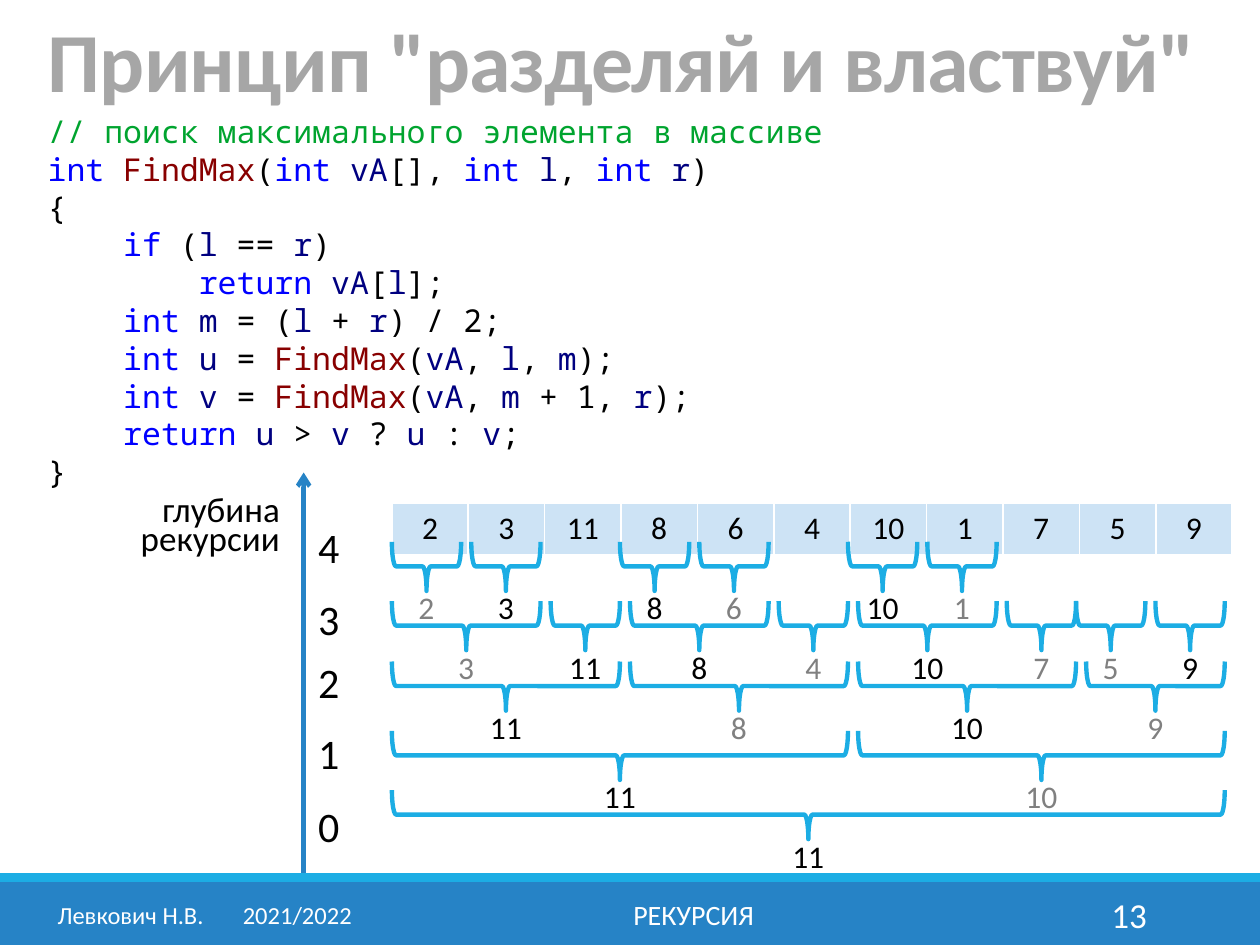
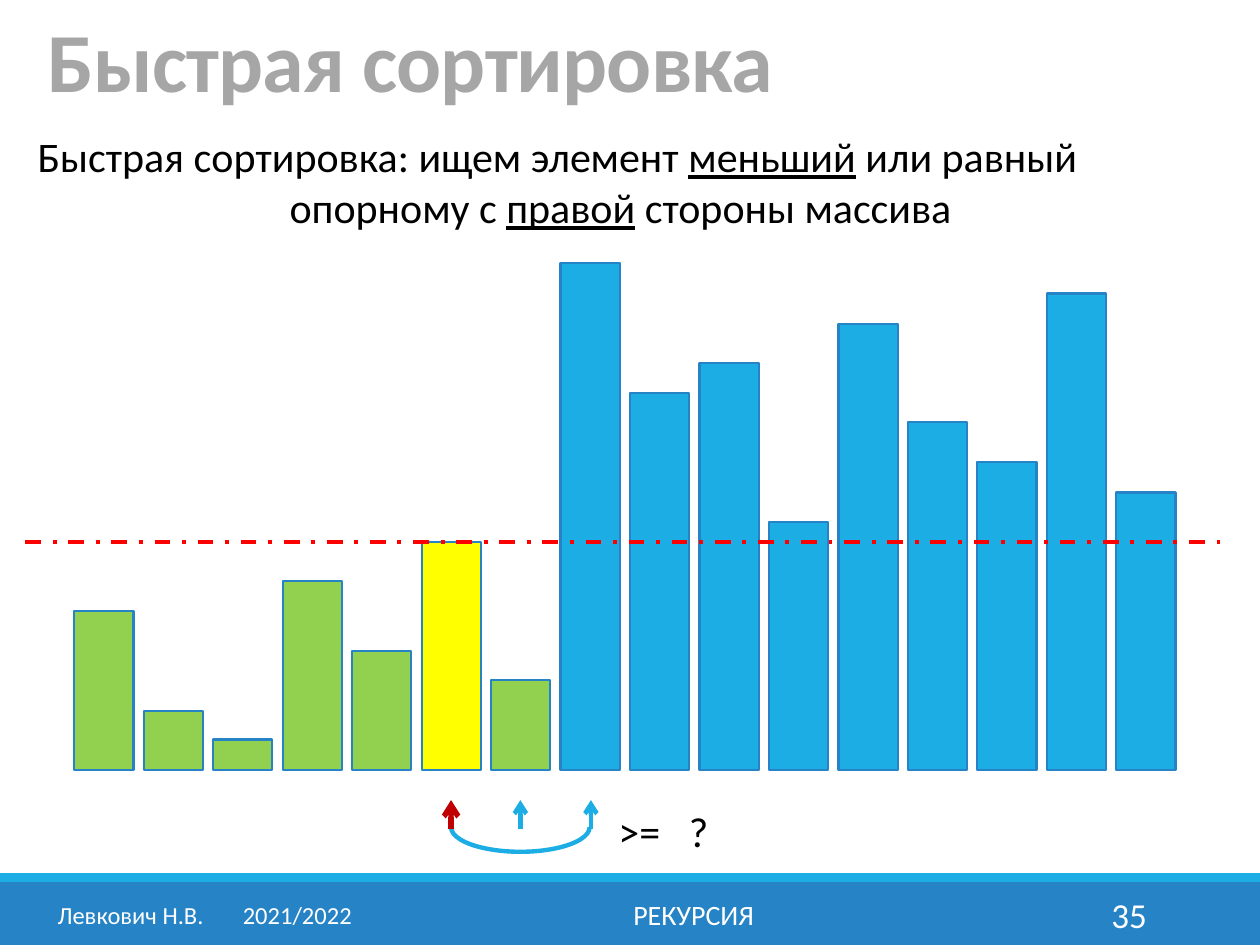
from itertools import groupby

from lxml.etree import SubElement
from pptx import Presentation
from pptx.dml.color import RGBColor
from pptx.enum.dml import MSO_LINE_DASH_STYLE as Dash
from pptx.enum.shapes import MSO_CONNECTOR as Connector, MSO_SHAPE as Shape
from pptx.enum.text import MSO_ANCHOR as Anchor, MSO_AUTO_SIZE as AutoSize, PP_ALIGN as Align
from pptx.oxml.ns import qn
from pptx.util import Inches, Pt

COLORS = {
    "blue": "2683C6", "cyan": "1CADE4", "title": "A6A6A6", "white": "FFFFFF",
    "black": "000000", "gray": "808080", "cell": "CDE3F5", "green": "92D050",
    "yellow": "FFFF00", "red": "FF0000", "dark_red": "C00000",
    "comment": "00A42F", "keyword": "0000FF", "function": "880000", "variable": "000080",
}
TEXT_FONT = "Calibri"
CODE_FONT = "Noto Sans Mono"

CODE = """// поиск максимального элемента в массиве
int FindMax(int vA[], int l, int r)
{
    if (l == r)
        return vA[l];
    int m = (l + r) / 2;
    int u = FindMax(vA, l, m);
    int v = FindMax(vA, m + 1, r);
    return u > v ? u : v;
}"""
WORD_COLORS = {
    **dict.fromkeys(["int", "if", "return"], "keyword"),
    **dict.fromkeys(["vA", "l", "r", "m", "u", "v"], "variable"),
    "FindMax": "function",
}

ARRAY = [2, 3, 11, 8, 6, 4, 10, 1, 7, 5, 9]
# fields: left, width, maximum, is it the larger of its pair
RECURSION_LEVELS = [
    (4.3, [(3.11, 0.55, 2, False), (3.74, 0.55, 3, True), (4.92, 0.55, 8, True),
           (5.55, 0.55, 6, False), (6.73, 0.55, 10, True), (7.36, 0.55, 1, False)]),
    (4.77, [(3.11, 1.18, 3, False), (4.37, 0.55, 11, True), (5, 1.1, 8, True),
            (6.18, 0.55, 4, False), (6.81, 1.1, 10, True), (7.99, 0.55, 7, False),
            (8.54, 0.55, 5, False), (9.17, 0.55, 9, True)]),
    (5.25, [(3.11, 1.81, 11, True), (5, 1.73, 8, False),
            (6.81, 1.73, 10, True), (8.62, 1.1, 9, False)]),
    (5.8, [(3.11, 3.62, 11, True), (6.81, 2.91, 10, False)]),
    (6.27, [(3.11, 6.61, 11, True)]),
]
DEPTH_TOPS = [6.4, 5.82, 5.26, 4.76, 4.19]
BRACE_DEPTH = 0.39

BAR_HEIGHTS = [1.26, 0.47, 0.24, 1.5, 0.94, 1.81, 0.71, 4.02,
               2.99, 3.23, 1.97, 3.54, 2.76, 2.44, 3.78, 2.2]
BAR_LEFT, BAR_RIGHT, BAR_WIDTH, BAR_BOTTOM = 0.59, 9.33, 0.47, 6.11
PIVOT = 5


def color(name):
    return RGBColor.from_string(COLORS[name])


def format_font(font, size, name, face=TEXT_FONT):
    font.size = Pt(size)
    font.name = face
    font.color.rgb = color(name)


def add_span(para, text, size, name, face=TEXT_FONT):
    span = para.add_run()
    span.text = text
    format_font(span.font, size, name, face)
    return span


def add_box(page, area, anchor=Anchor.MIDDLE):
    box = page.shapes.add_textbox(*map(Inches, area))
    box.text_frame.word_wrap = True
    box.text_frame.vertical_anchor = anchor
    return box


def add_label(page, area, text, size, name="black", align=Align.CENTER,
              anchor=Anchor.MIDDLE, spacing=None, margin=0.1):
    box = add_box(page, area, anchor)
    box.text_frame.margin_left = box.text_frame.margin_right = Inches(margin)
    para = box.text_frame.paragraphs[0]
    para.text = text
    para.alignment = align
    if spacing:
        para.line_spacing = spacing
    format_font(para.runs[0].font, size, name)
    return para


def add_tab_stop(para, position):
    tabs = SubElement(para._p.get_or_add_pPr(), qn("a:tabLst"))
    SubElement(tabs, qn("a:tab"), pos=str(Inches(position)), algn="l")


def add_shape(page, kind, area, fill=None, line=None, width=1.25):
    shape = page.shapes.add_shape(kind, *map(Inches, area))
    shape.shadow.inherit = False
    if fill:
        shape.fill.solid()
        shape.fill.fore_color.rgb = color(fill)
    else:
        shape.fill.background()
    if line:
        shape.line.color.rgb = color(line)
        shape.line.width = Pt(width)
    else:
        shape.line.fill.background()
    return shape


def add_line(page, start, end, name, width, dash=None, arrow=False):
    line = page.shapes.add_connector(Connector.STRAIGHT, *map(Inches, (*start, *end)))
    line.line.color.rgb = color(name)
    line.line.width = Pt(width)
    if dash:
        line.line.dash_style = dash
    if arrow:
        SubElement(line.line._get_or_add_ln(), qn("a:tailEnd"), type="arrow")
    SubElement(line._element.spPr, qn("a:effectLst"))


def add_page(deck, title, number):
    page = deck.slides.add_slide(deck.slide_layouts[5])
    add_shape(page, Shape.RECTANGLE, (0, 7, 10, 0.5), "blue")
    add_shape(page, Shape.RECTANGLE, (0, 6.93, 10, 0.07), "cyan")
    add_title(page, title)
    add_label(page, (8.12, 7.06, 1.08, 0.4), number, 20, "white", Align.RIGHT)
    add_label(page, (3.02, 7.06, 4.97, 0.4), "РЕКУРСИЯ", 16, "white")
    author = add_label(page, (0.32, 7.06, 2.61, 0.4), "Левкович Н.В.\t2021/2022", 14, "white")
    add_tab_stop(author, 1.47)
    return page


def add_title(page, text):
    title = page.shapes.title
    title.left, title.top, title.width, title.height = map(Inches, (0.28, 0, 9.45, 0.92))
    frame = title.text_frame
    frame.text = text
    frame.vertical_anchor = Anchor.BOTTOM
    frame.auto_size = AutoSize.NONE
    para = frame.paragraphs[0]
    para.alignment = Align.LEFT
    para.line_spacing = 0.85
    font = para.runs[0].font
    format_font(font, 48, "title")
    font.bold = True
    para.runs[0]._r.get_or_add_rPr().set("spc", "-50")


def add_code(page, area, code):
    frame = add_box(page, area, Anchor.TOP).text_frame
    for index, line in enumerate(code.split("\n")):
        para = frame.add_paragraph() if index else frame.paragraphs[0]
        para.line_spacing = Pt(21.6)
        if line.startswith("//"):
            add_span(para, line, 18, "comment", CODE_FONT)
            continue
        for _, letters in groupby(line, str.isalnum):
            token = "".join(letters)
            add_span(para, token, 18, WORD_COLORS.get(token, "black"), CODE_FONT)


def add_array(page, area, values):
    table = page.shapes.add_table(1, len(values), *map(Inches, area)).table
    table.first_row = table.horz_banding = False
    for cell, value in zip(table.rows[0].cells, values):
        cell.fill.solid()
        cell.fill.fore_color.rgb = color("cell")
        para = cell.text_frame.paragraphs[0]
        para.text = str(value)
        para.alignment = Align.CENTER
        format_font(para.runs[0].font, 18, "black")


def add_brace(page, left, top, width):
    area = (left + (width - BRACE_DEPTH) / 2, top + (BRACE_DEPTH - width) / 2,
            BRACE_DEPTH, width)
    brace = add_shape(page, Shape.RIGHT_BRACE, area, line="cyan", width=2.5)
    brace.rotation = 90


def add_recursion_tree(page):
    add_array(page, (3.11, 3.99, 6.67, 0.41), ARRAY)
    for top, parts in RECURSION_LEVELS:
        for left, width, maximum, larger in parts:
            add_brace(page, left, top, width)
            add_label(page, (left + width / 2 - 0.3, top + 0.32, 0.6, 0.4),
                      str(maximum), 18, "black" if larger else "gray")


def add_depth_axis(page):
    add_line(page, (2.41, 6.93), (2.41, 3.75), "blue", 2.5, arrow=True)
    add_label(page, (0.98, 3.91, 1.34, 0.59), "глубина рекурсии", 20,
              align=Align.RIGHT, anchor=Anchor.TOP, spacing=0.7)
    for depth, top in enumerate(DEPTH_TOPS):
        add_label(page, (2.43, top, 0.36, 0.4), str(depth), 24, spacing=0.7, margin=0)


def add_sentence(page, area, lines, indent):
    para = add_box(page, area, Anchor.TOP).text_frame.paragraphs[0]
    properties = para._p.get_or_add_pPr()
    properties.set("marL", str(Inches(indent)))
    properties.set("indent", str(-Inches(indent)))
    for index, spans in enumerate(lines):
        if index:
            para.add_line_break()
        for text, underlined in spans:
            add_span(para, text, 24, "black").font.underline = underlined


def add_bars(page):
    step = (BAR_RIGHT - BAR_WIDTH - BAR_LEFT) / (len(BAR_HEIGHTS) - 1)
    pivot_height = BAR_HEIGHTS[PIVOT]
    for index, height in enumerate(BAR_HEIGHTS):
        if index == PIVOT:
            fill = "yellow"
        else:
            fill = "green" if height < pivot_height else "cyan"
        area = (BAR_LEFT + index * step, BAR_BOTTOM - height, BAR_WIDTH, height)
        add_shape(page, Shape.RECTANGLE, area, fill, "blue")
    level = BAR_BOTTOM - pivot_height
    add_line(page, (0.2, level), (9.72, level), "red", 2.25, Dash.DASH_DOT)


def add_swap_pointers(page):
    arc = add_shape(page, Shape.ARC, (3.58, 6.37, 1.1, 0.39), line="cyan", width=2.5)
    arc.adjustments[0], arc.adjustments[1] = 0, 108
    for x, name, width in [(4.69, "cyan", 2.5), (4.13, "cyan", 2.5), (3.58, "dark_red", 3)]:
        add_line(page, (x, 6.58), (x, 6.35), name, width, arrow=True)
    question = add_label(page, (4.81, 6.44, 1, 0.31), ">=\t?", 24, align=Align.LEFT)
    add_tab_stop(question, 0.56)


def main():
    deck = Presentation()
    deck.slide_width, deck.slide_height = Inches(10), Inches(7.5)

    page = add_page(deck, 'Принцип "разделяй и властвуй"', "13")
    add_code(page, (0.28, 0.84, 6.8, 3.13), CODE)
    add_recursion_tree(page)
    add_depth_axis(page)

    page = add_page(deck, "Быстрая сортировка", "35")
    add_sentence(page, (0.2, 0.99, 9.53, 0.91), [
        [("Быстрая сортировка: ищем элемент ", False), ("меньший", True), (" или равный", False)],
        [("опорному с ", False), ("правой", True), (" стороны массива", False)],
    ], 2)
    add_bars(page)
    add_swap_pointers(page)

    deck.save("out.pptx")


if __name__ == "__main__":
    main()
